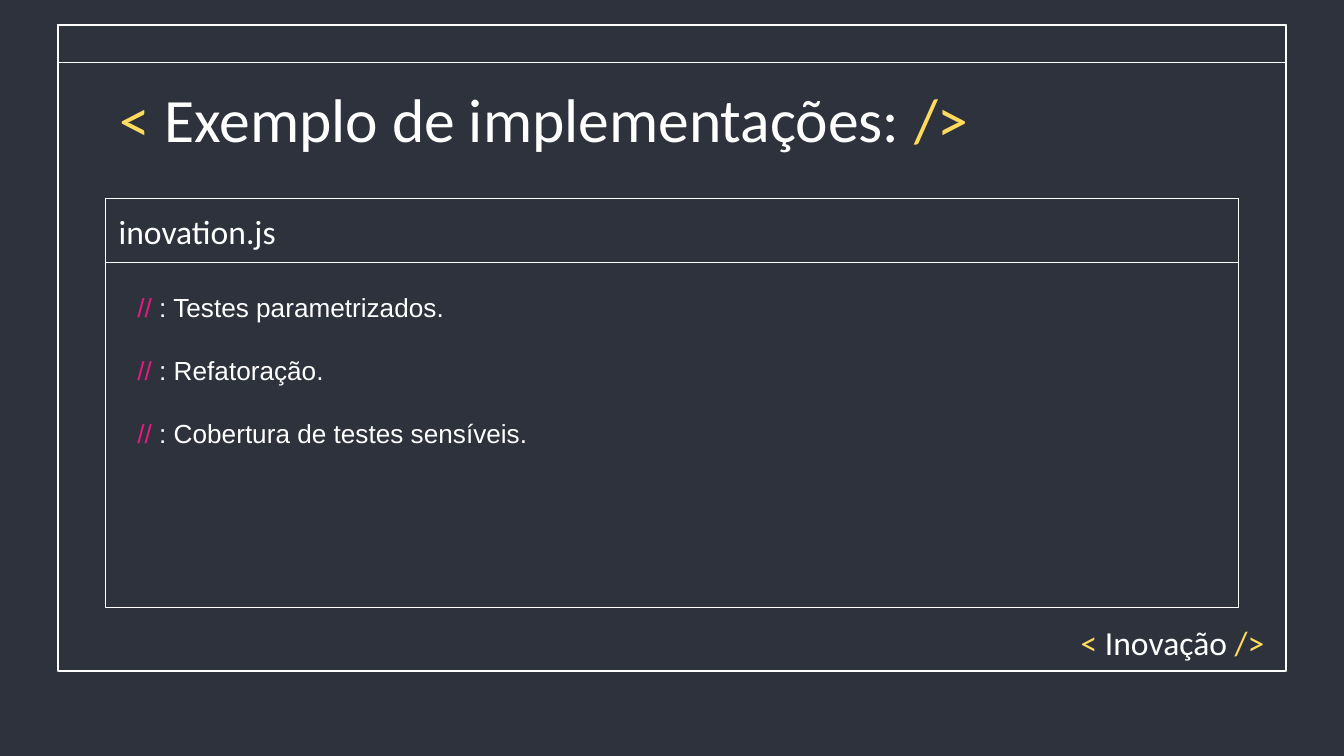
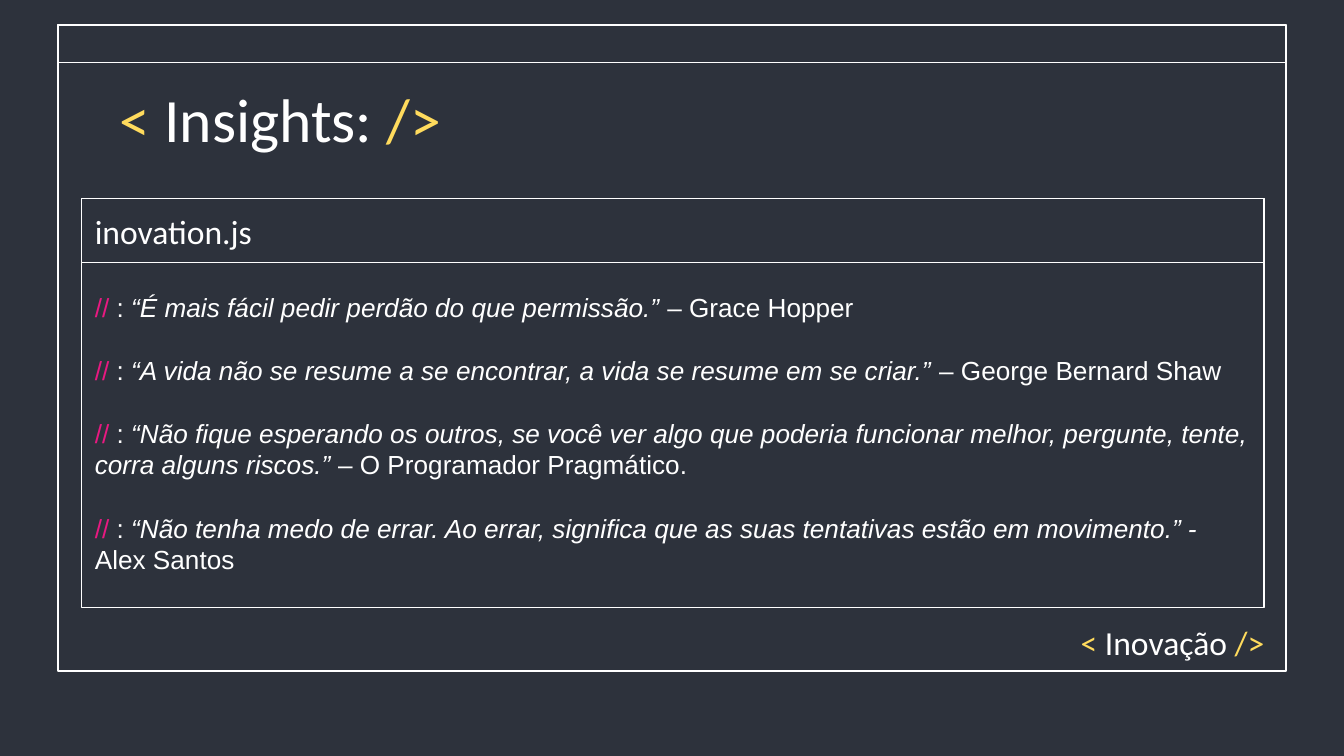
from dataclasses import dataclass

from pptx import Presentation
from pptx.dml.color import RGBColor
from pptx.enum.shapes import MSO_SHAPE
from pptx.enum.text import MSO_ANCHOR, MSO_AUTO_SIZE, PP_ALIGN
from pptx.slide import Slide
from pptx.text.text import TextFrame, _Paragraph
from pptx.util import Pt

DARK = RGBColor(0x2D, 0x32, 0x3C)
WHITE = RGBColor(0xFF, 0xFF, 0xFF)
GOLD = RGBColor(0xFF, 0xDB, 0x5D)
PINK = RGBColor(0xE8, 0x19, 0x81)

HEAD = "Calibri"
BODY = "Arial"


@dataclass(frozen=True)
class Box:
    left: float
    top: float
    width: float
    height: float

    def pts(self) -> tuple[Pt, Pt, Pt, Pt]:
        return Pt(self.left), Pt(self.top), Pt(self.width), Pt(self.height)


@dataclass(frozen=True)
class Span:
    text: str
    color: RGBColor = WHITE
    slant: bool = False


@dataclass(frozen=True)
class Note:
    plain: str = ""
    quote: str = ""

    def spans(self) -> list[Span]:
        parts = [Span("// ", PINK), Span(": ")]
        if self.quote:
            parts.append(Span(self.quote, slant=True))
        return parts + [Span(self.plain)]


@dataclass(frozen=True)
class Page:
    title: str
    panel: Box
    text: Box
    notes: list[Note]


FRAME = Box(31, 13.5, 658, 346)
TITLE = Box(57, 36, 607, 45)
FOOT = Box(77.5, 326, 607, 45)

PAGES = [
    Page("Exemplo de implementações:",
         Box(56.5, 106.5, 607, 219), Box(66.5, 152.5, 597, 92), [
             Note("Testes parametrizados."),
             Note("Refatoração."),
             Note("Cobertura de testes sensíveis."),
         ]),
    Page("Insights:",
         Box(43.75, 106.5, 633.5, 219), Box(43.75, 152.5, 633.5, 177), [
             Note("– Grace Hopper",
                  "“É mais fácil pedir perdão do que permissão.” "),
             Note("– George Bernard Shaw",
                  "“A vida não se resume a se encontrar, a vida se resume em "
                  "se criar.” "),
             Note("– O Programador Pragmático.",
                  "“Não fique esperando os outros, se você ver algo que "
                  "poderia funcionar melhor, pergunte, tente, corra alguns "
                  "riscos.” "),
             Note("Alex Santos",
                  "“Não tenha medo de errar. Ao errar, significa que as suas "
                  "tentativas estão em movimento.” - "),
         ]),
]


def write(para: _Paragraph, spans: list[Span], size: float, face: str,
          align: PP_ALIGN = PP_ALIGN.LEFT) -> None:
    para.alignment = align
    for span in spans:
        run = para.add_run()
        run.text = span.text
        run.font.size = Pt(size)
        run.font.name = face
        run.font.italic = span.slant
        run.font.color.rgb = span.color


def setup(frame: TextFrame, anchor: MSO_ANCHOR = MSO_ANCHOR.TOP,
          pad: float = 7.2) -> None:
    frame.word_wrap = True
    frame.auto_size = MSO_AUTO_SIZE.NONE
    frame.vertical_anchor = anchor
    frame.margin_left = frame.margin_right = Pt(7.2)
    frame.margin_top = frame.margin_bottom = Pt(pad)


def tag(text: str) -> list[Span]:
    return [Span("< ", GOLD), Span(text + " "), Span("/>", GOLD)]


def window(slide: Slide, box: Box, bar: float, name: str = "") -> None:
    """Draw a box with a bar across its top."""
    strip = Box(box.left, box.top, box.width, bar)
    for part in (box, strip):
        shape = slide.shapes.add_shape(MSO_SHAPE.RECTANGLE, *part.pts())
        shape.shadow.inherit = False
        shape.fill.solid()
        shape.fill.fore_color.rgb = DARK
        shape.line.color.rgb = WHITE
        shape.line.width = Pt(0.75)
    if name:
        setup(shape.text_frame, MSO_ANCHOR.MIDDLE)
        write(shape.text_frame.paragraphs[0], [Span(name)], 18, HEAD)


def build(deck: Presentation, page: Page) -> None:
    slide = deck.slides.add_slide(deck.slide_layouts[5])
    slide.background.fill.solid()
    slide.background.fill.fore_color.rgb = DARK

    # Outer frame, with the title in front of it
    window(slide, FRAME, 20)
    title = slide.shapes.title
    title.left, title.top, title.width, title.height = TITLE.pts()
    setup(title.text_frame)
    write(title.text_frame.paragraphs[0], tag(page.title), 33, HEAD)
    node = title.element
    node.getparent().append(node)

    # Footer
    foot = slide.shapes.add_textbox(*FOOT.pts()).text_frame
    setup(foot)
    write(foot.paragraphs[0], tag("Inovação"), 18, HEAD, PP_ALIGN.RIGHT)

    # Code window and its notes
    window(slide, page.panel, 34.2, "inovation.js")
    body = slide.shapes.add_textbox(*page.text.pts()).text_frame
    setup(body, pad=3.6)
    for i, note in enumerate(page.notes):
        para = body.add_paragraph() if i else body.paragraphs[0]
        if i:
            para.space_before = Pt(17)
        write(para, note.spans(), 14, BODY)


def main() -> None:
    deck = Presentation()
    deck.slide_width, deck.slide_height = Pt(720), Pt(405)
    for page in PAGES:
        build(deck, page)
    deck.save("out.pptx")


if __name__ == "__main__":
    main()
